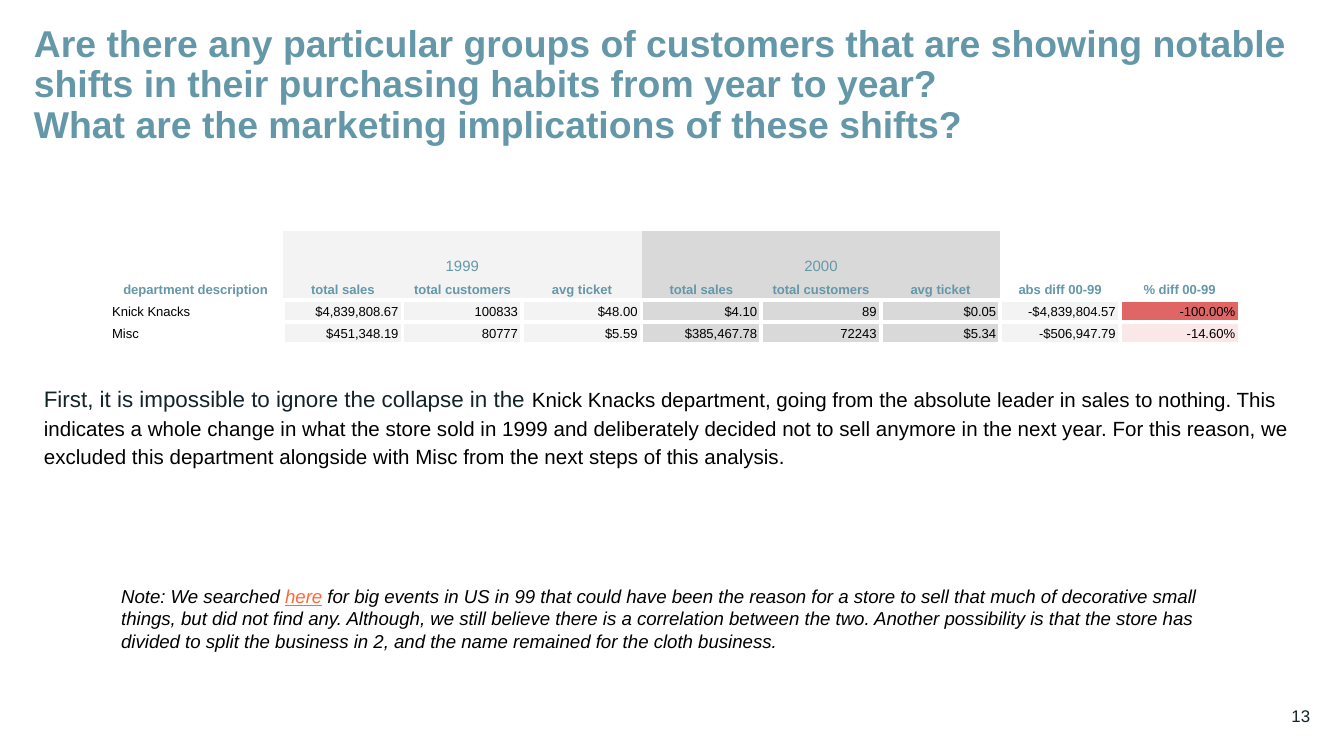
from lxml.etree import SubElement
from pptx import Presentation
from pptx.dml.color import RGBColor
from pptx.enum.text import MSO_ANCHOR, MSO_AUTO_SIZE, PP_ALIGN
from pptx.oxml.ns import qn
from pptx.util import Cm, Pt

TEAL, INK, BLACK, LINK = "6498A8", "142328", "000000", "FF6937"
WHITE, LIGHT, GREY = "FFFFFF", "F3F3F3", "D9D9D9"

TITLE = [
    "Are there any particular groups of customers that are showing notable "
    "shifts in their purchasing habits from year to year?",
    "What are the marketing implications of these shifts?",
]
YEARS = {"1999": (1, LIGHT), "2000": (4, GREY)}  # first column, fill
MEASURES = ["total sales", "total customers", "avg ticket"]
HEADERS = ["department description", *MEASURES, *MEASURES,
           "abs diff 00-99", "% diff 00-99"]
HEADER_FILLS = [WHITE] + [LIGHT] * 3 + [GREY] * 3 + [None] * 2
DEPARTMENTS = [
    (["Knick Knacks", "$4,839,808.67", "100833", "$48.00", "$4.10", "89",
      "$0.05", "-$4,839,804.57", "-100.00%"], "E06666"),
    (["Misc", "$451,348.19", "80777", "$5.59", "$385,467.78", "72243",
      "$5.34", "-$506,947.79", "-14.60%"], "FAE8E8"),
]
FINDING = [
    ("First, it is impossible to ignore the collapse in the ",
     dict(size=12, color=INK)),
    ("Knick Knacks department, going from the absolute leader in sales to "
     "nothing. This indicates a whole change in what the store sold in 1999 "
     "and deliberately decided not to sell anymore in the next year. For this "
     "reason, we excluded this department alongside with Misc from the next "
     "steps of this analysis.", dict(size=11, color=BLACK)),
]
NOTE_STYLE = dict(size=10, color=BLACK, italic=True)
NOTE = [
    ("Note: We searched ", NOTE_STYLE),
    ("here", dict(NOTE_STYLE, color=LINK, underline=True)),
    (" for big events in US in 99 that could have been the reason for a store "
     "to sell that much of decorative small things, but did not find any. "
     "Although, we still believe there is a correlation between the two. "
     "Another possibility is that the store has divided to split the business "
     "in 2, and the name remained for the cloth business.", NOTE_STYLE),
]
ROW_HEIGHTS = [0.84, 0.42, 0.42, 0.42]
COLUMN_WIDTHS = [3.31] + [2.26] * 8


def rgb(color):
    return RGBColor.from_string(color)


def add_run(paragraph, text, size, color, **styles):
    run = paragraph.add_run()
    run.text = text
    run.font.name = "Arial"
    run.font.size = Pt(size)
    run.font.color.rgb = rgb(color)
    for style, value in styles.items():
        setattr(run.font, style, value)


def set_margins(frame, margin):
    frame.margin_left = frame.margin_right = Cm(margin)
    frame.margin_top = frame.margin_bottom = Cm(margin)


def add_text(slide, box, runs, margin=0.25, spacing=None):
    frame = slide.shapes.add_textbox(*map(Cm, box)).text_frame
    frame.word_wrap = True
    set_margins(frame, margin)
    paragraph = frame.paragraphs[0]
    paragraph.line_spacing = spacing
    for text, style in runs:
        add_run(paragraph, text, **style)
    return frame


def format_cell(cell, fill, bordered_sides):
    """Set margins, fill and white borders; the other sides get no line."""
    cell.margin_left = cell.margin_right = Cm(0.08)
    cell.margin_top = cell.margin_bottom = Cm(0.05)
    properties = cell._tc.get_or_add_tcPr()
    for side in "LRTB":
        line = SubElement(properties, qn(f"a:ln{side}"), w=str(Pt(2.25)))
        if side in bordered_sides:
            solid = SubElement(line, qn("a:solidFill"))
            SubElement(solid, qn("a:srgbClr"), val=WHITE)
        else:
            SubElement(line, qn("a:noFill"))
    if fill:
        cell.fill.solid()
        cell.fill.fore_color.rgb = rgb(fill)
    else:
        cell.fill.background()


def write_cell(cell, text, align, anchor, **style):
    cell.vertical_anchor = anchor
    paragraph = cell.text_frame.paragraphs[0]
    paragraph.alignment = align
    paragraph.line_spacing = 1.15
    add_run(paragraph, text, **style)


def add_title(slide):
    title = slide.shapes.title
    title.left, title.top, title.width, title.height = map(
        Cm, (0.64, 0.48, 24.1, 1.12))
    frame = title.text_frame
    set_margins(frame, 0)
    frame.vertical_anchor = MSO_ANCHOR.TOP
    frame.auto_size = MSO_AUTO_SIZE.NONE
    for index, text in enumerate(TITLE):
        paragraph = frame.add_paragraph() if index else frame.paragraphs[0]
        paragraph.alignment = PP_ALIGN.LEFT
        paragraph.line_spacing = 0.9
        paragraph.space_before = Pt(0)
        add_run(paragraph, text, 20, TEAL, bold=True)


def add_sales_table(slide):
    table = slide.shapes.add_table(
        len(ROW_HEIGHTS), len(COLUMN_WIDTHS), Cm(2.04), Cm(4.37),
        Cm(sum(COLUMN_WIDTHS)), Cm(sum(ROW_HEIGHTS))).table
    table.first_row = table.horz_banding = False
    for row, height in zip(table.rows, ROW_HEIGHTS):
        row.height = Cm(height)
    for column, width in zip(table.columns, COLUMN_WIDTHS):
        column.width = Cm(width)

    group_fills = [None] + HEADER_FILLS[1:]
    for column, fill in enumerate(group_fills):
        format_cell(table.cell(0, column), fill, "")
    for year, (first, _) in YEARS.items():
        cell = table.cell(0, first)
        cell.merge(table.cell(0, first + len(MEASURES) - 1))
        write_cell(cell, year, PP_ALIGN.CENTER, MSO_ANCHOR.BOTTOM,
                   size=8, color=TEAL)

    for column, (header, fill) in enumerate(zip(HEADERS, HEADER_FILLS)):
        cell = table.cell(1, column)
        format_cell(cell, fill, "B" if column else "")
        write_cell(cell, header, PP_ALIGN.CENTER, MSO_ANCHOR.MIDDLE,
                   size=7, color=TEAL, bold=True)

    for row, (values, change_fill) in enumerate(DEPARTMENTS, start=2):
        fills = group_fills[:7] + [LIGHT, change_fill]
        for column, (value, fill) in enumerate(zip(values, fills)):
            cell = table.cell(row, column)
            format_cell(cell, fill, "LRTB" if column else "R")
            align, anchor = ((PP_ALIGN.RIGHT, MSO_ANCHOR.MIDDLE) if column
                             else (PP_ALIGN.LEFT, MSO_ANCHOR.BOTTOM))
            write_cell(cell, value, align, anchor, size=7, color=BLACK)


def main():
    presentation = Presentation()
    presentation.slide_width, presentation.slide_height = Cm(25.4), Cm(14.29)
    slide = presentation.slides.add_slide(presentation.slide_layouts[5])

    add_title(slide)
    add_sales_table(slide)
    add_text(slide, (0.58, 6.96, 24.31, 2.11), FINDING, spacing=1.15)
    add_text(slide, (2.04, 10.8, 21.39, 1.8), NOTE)
    number = add_text(slide, (23.39, 13.44, 1.37, 0.28),
                      [("13", dict(size=9, color=INK))], margin=0)
    number.vertical_anchor = MSO_ANCHOR.BOTTOM
    number.paragraphs[0].alignment = PP_ALIGN.RIGHT

    presentation.save("out.pptx")


if __name__ == "__main__":
    main()
